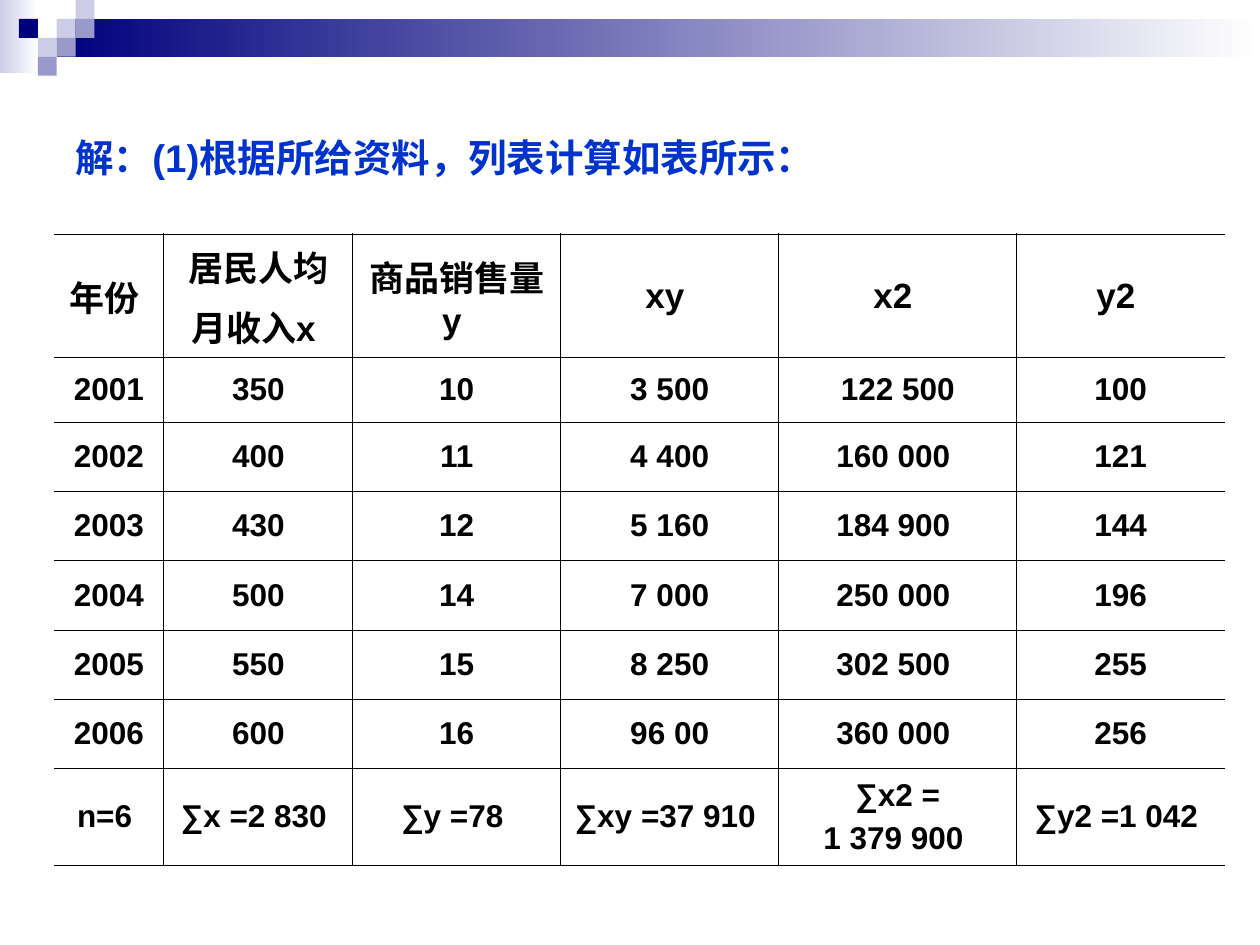
import collections
import dataclasses
import lxml.etree
import pptx
import pptx.dml.color
import pptx.enum.shapes
import pptx.enum.text
import pptx.oxml.ns
import pptx.util

Box = collections.namedtuple("Box", "left top width height")


@dataclasses.dataclass(frozen=True)
class Theme:
    font: str = "Arial"
    title_color: str = "0033CC"
    ink: str = "000000"
    paper: str = "FFFFFF"
    navy: str = "00007D"
    violet: str = "9999CC"
    pale: str = "CCCCE6"
    title_size: float = 22
    header_size: float = 20
    body_size: float = 18
    header_gap: float = 5
    body_gap: float = 4.5
    thin_rule: float = 0.45
    thick_rule: float = 1.08


THEME = Theme()
UNIT = 0.15
CHECKERS = [
    (3, 1, THEME.pale), (4, 0, THEME.pale), (4, 1, THEME.violet),
    (2, 2, THEME.pale), (1, 1, THEME.navy), (3, 2, THEME.violet),
    (2, 3, THEME.violet),
]
COLUMN_SHARES = [0.87, 1.5, 1.65, 1.73, 1.89, 1.65]
ROW_SHARES = [0.98, 0.51, 0.55, 0.55, 0.55, 0.55, 0.55, 0.77]
ROWS = [
    ["年份 ", "居民人均\n月收入x ", "商品销售量y ", "xy ", "x2 ", "y2 "],
    ["2001", "350", "10", "3 500", "122 500", "100"],
    ["2002", "400", "11", "4 400", "160 000 ", "121"],
    ["2003", "430", "12", "5 160", "184 900 ", "144"],
    ["2004", "500", "14", "7 000", "250 000 ", "196"],
    ["2005", "550", "15", "8 250", "302 500 ", "255"],
    ["2006", "600", "16", "96 00", "360 000 ", "256"],
    ["n=6 ", "∑x =2 830 ", "∑y =78 ", "∑xy =37 910 ",
     "∑x2 =\n1 379 900 ", "∑y2 =1 042 "],
]


def rgb(color):
    return pptx.dml.color.RGBColor.from_string(color)


def inches(box):
    return [pptx.util.Inches(length) for length in box]


def style_runs(para, size, color):
    for span in para.runs:
        span.font.name = THEME.font
        span.font.size = pptx.util.Pt(size)
        span.font.bold = True
        span.font.color.rgb = rgb(color)


def add_block(page, box, color, fading=False):
    block = page.shapes.add_shape(
        pptx.enum.shapes.MSO_SHAPE.RECTANGLE, *inches(box))
    block.shadow.inherit = False
    block.line.fill.background()
    if fading:
        block.fill.gradient()
        block.fill.gradient_angle = 0
        for stop, tone in zip(block.fill.gradient_stops, (color, THEME.paper)):
            stop.color.rgb = rgb(tone)
    else:
        block.fill.solid()
        block.fill.fore_color.rgb = rgb(color)


def add_banner(page, box):
    add_block(page, Box(box.left, box.top, 2 * UNIT, box.height - 0.02),
              THEME.pale, fading=True)
    add_block(page, Box(box.left + 3 * UNIT, box.top + UNIT,
                        box.width - 3 * UNIT, 2 * UNIT),
              THEME.navy, fading=True)
    for column, row, color in CHECKERS:
        add_block(page, Box(box.left + column * UNIT, box.top + row * UNIT,
                            UNIT, UNIT), color)


def fill_title(page, box, words):
    title = page.shapes.title
    title.left, title.top, title.width, title.height = inches(box)
    frame = title.text_frame
    frame.text = words
    frame.word_wrap = True
    frame.auto_size = pptx.enum.text.MSO_AUTO_SIZE.NONE
    frame.vertical_anchor = pptx.enum.text.MSO_ANCHOR.MIDDLE
    para = frame.paragraphs[0]
    para.alignment = pptx.enum.text.PP_ALIGN.LEFT
    style_runs(para, THEME.title_size, THEME.title_color)


def add_border(cell, side, width):
    qn = pptx.oxml.ns.qn
    rule = lxml.etree.SubElement(
        cell._tc.get_or_add_tcPr(), qn("a:ln" + side),
        w=str(int(pptx.util.Pt(width))))
    if width:
        paint = lxml.etree.SubElement(rule, qn("a:solidFill"))
        lxml.etree.SubElement(paint, qn("a:srgbClr"), val=THEME.ink)
    else:
        lxml.etree.SubElement(rule, qn("a:noFill"))


def fill_cell(cell, words, size, gap):
    cell.vertical_anchor = pptx.enum.text.MSO_ANCHOR.MIDDLE
    cell.text_frame.text = words
    for index, para in enumerate(cell.text_frame.paragraphs):
        para.alignment = pptx.enum.text.PP_ALIGN.CENTER
        if index:
            para.space_before = pptx.util.Pt(gap)
        style_runs(para, size, THEME.ink)


def add_data_table(page, box):
    last_row, last_column = len(ROWS) - 1, len(COLUMN_SHARES) - 1
    table = page.shapes.add_table(
        len(ROWS), len(COLUMN_SHARES), *inches(box)).table
    table.first_row = table.horz_banding = False
    for column, share in zip(table.columns, COLUMN_SHARES):
        column.width = pptx.util.Inches(box.width * share / sum(COLUMN_SHARES))
    for row, share in zip(table.rows, ROW_SHARES):
        row.height = pptx.util.Inches(box.height * share / sum(ROW_SHARES))
    for r, row in enumerate(ROWS):
        size = THEME.body_size if r else THEME.header_size
        gap = THEME.body_gap if r else THEME.header_gap
        for c, words in enumerate(row):
            cell = table.cell(r, c)
            fill_cell(cell, words, size, gap)
            add_border(cell, "L", THEME.thin_rule if c else 0)
            add_border(cell, "R", THEME.thin_rule if c < last_column else 0)
            add_border(cell, "T", THEME.thin_rule if r else THEME.thick_rule)
            add_border(cell, "B", THEME.thin_rule if r < last_row
                       else THEME.thick_rule)
            cell.fill.background()


def main():
    deck = pptx.Presentation()
    deck.slide_width = pptx.util.Inches(10)
    deck.slide_height = pptx.util.Inches(7.5)
    page = deck.slides.add_slide(deck.slide_layouts[5])
    add_banner(page, Box(0, 0, 10, 4 * UNIT))
    fill_title(page, Box(0.5, 0.73, 9, 1.04),
               "解：(1)根据所给资料，列表计算如表所示：")
    add_data_table(page, Box(0.43, 1.86, 9.29, 5.01))
    deck.save("out.pptx")


if __name__ == "__main__":
    main()
